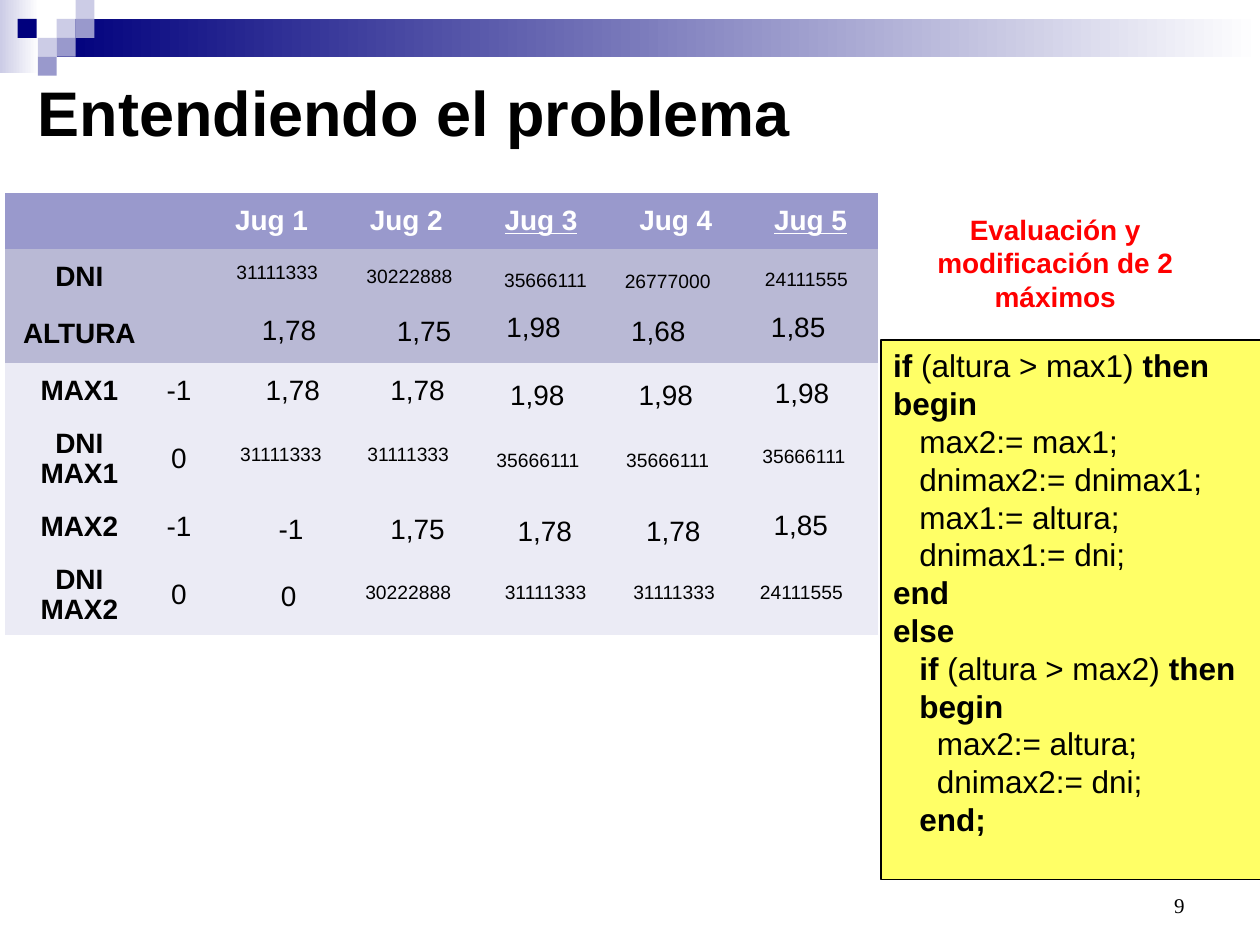
from dataclasses import dataclass

from pptx import Presentation
from pptx.dml.color import RGBColor
from pptx.enum.shapes import MSO_SHAPE
from pptx.enum.text import MSO_ANCHOR, MSO_AUTO_SIZE, PP_ALIGN
from pptx.oxml.ns import qn
from pptx.util import Inches, Pt

RECTANGLE = MSO_SHAPE.RECTANGLE
LEFT, CENTER, RIGHT = PP_ALIGN.LEFT, PP_ALIGN.CENTER, PP_ALIGN.RIGHT
TOP, MIDDLE, BOTTOM = MSO_ANCHOR.TOP, MSO_ANCHOR.MIDDLE, MSO_ANCHOR.BOTTOM
FIXED, GROW = MSO_AUTO_SIZE.NONE, MSO_AUTO_SIZE.SHAPE_TO_FIT_TEXT
NO_GRID_STYLE = "{2D5ABB26-0587-4C30-8999-92F81FD0307C}"


@dataclass(frozen=True)
class Theme:
    """Colours, fonts and type sizes of the slide."""
    navy: str = "00007D"
    lavender: str = "9999CC"
    pale: str = "CCCCE6"
    input_row: str = "B9B9D5"
    result_row: str = "EBEBF5"
    yellow: str = "FFFF66"
    red: str = "FF0000"
    black: str = "000000"
    white: str = "FFFFFF"
    font: str = "Arial"
    number_font: str = "Times New Roman"
    title: int = 36
    code: int = 18
    body: int = 16
    number: int = 12
    small: int = 11
    cell_spacing: float = 0.96


THEME = Theme()
SQUARE = 0.15
SQUARES = [
    (0.45, 0.15, THEME.pale), (0.6, 0, THEME.pale), (0.6, 0.15, THEME.lavender),
    (0.3, 0.3, THEME.pale), (0.14, 0.15, THEME.navy),
    (0.45, 0.3, THEME.lavender), (0.3, 0.45, THEME.lavender),
]
COLUMN_WIDTHS = [1.18, 0.4] + [1.07] * 5
TABLE_ROWS = [
    (["", "", "Jug 1", "Jug 2", "Jug 3", "Jug 4", "Jug 5"], 0.45, THEME.lavender),
    (["DNI"], 0.45, THEME.input_row),
    (["ALTURA"], 0.45, THEME.input_row),
    (["MAX1", "-1"], 0.45, THEME.result_row),
    (["DNI\nMAX1", "0"], 0.63, THEME.result_row),
    (["MAX2", "-1"], 0.45, THEME.result_row),
    (["DNI\nMAX2", "0"], 0.63, THEME.result_row),
]
UNDERLINED = ("Jug 3", "Jug 5")
READINGS = [
    [("31111333", 1.76, 2.02), ("30222888", 2.81, 2.05), ("35666111", 3.89, 2.08),
     ("26777000", 4.86, 2.09), ("24111555", 5.96, 2.07)],
    [("1,78", 1.98, 2.43), ("1,75", 3.05, 2.44), ("1,98", 3.92, 2.41),
     ("1,68", 4.91, 2.44), ("1,85", 6.02, 2.41)],
    [("1,78", 2.01, 2.91), ("1,78", 3, 2.91), ("1,98", 3.95, 2.95),
     ("1,98", 4.97, 2.95), ("1,98", 6.05, 2.93)],
    [("31111333", 1.79, 3.46), ("31111333", 2.8, 3.46), ("35666111", 3.83, 3.51),
     ("35666111", 4.86, 3.51), ("35666111", 5.94, 3.48)],
    [("-1", 2.1, 4.01), ("1,75", 3, 4.01), ("1,78", 4.01, 4.03),
     ("1,78", 5.03, 4.03), ("1,85", 6.04, 3.98)],
    [("0", 2.13, 4.54), ("30222888", 2.8, 4.56), ("31111333", 3.89, 4.56),
     ("31111333", 4.91, 4.56), ("24111555", 5.92, 4.56)],
]
READING_WIDTHS = {1: 0.32, 2: 0.42, 4: 0.63, 8: 0.88}
CODE = """*if* (altura > max1) *then*
*begin*
   max2:= max1;
   dnimax2:= dnimax1;
   max1:= altura;
   dnimax1:= dni;
*end*
*else*
   *if* (altura > max2) *then*
   *begin*
     max2:= altura;
     dnimax2:= dni;
   *end;*"""


def write_text(frame, text, size=THEME.body, color=THEME.black, font=THEME.font, bold=False,
               underline=False, align=LEFT, spacing=1.0):
    """Write lines of text, with the parts between asterisks in bold."""
    for index, line in enumerate(text.split("\n")):
        paragraph = frame.add_paragraph() if index else frame.paragraphs[0]
        paragraph.alignment = align
        paragraph.line_spacing = spacing
        for position, part in enumerate(line.split("*")):
            if not part:
                continue
            run = paragraph.add_run()
            run.text = part
            run.font.name = font
            run.font.size = Pt(size)
            run.font.bold = bold or position % 2 == 1
            run.font.underline = underline
            run.font.color.rgb = RGBColor.from_string(color)


def add_text_box(slide, text, left, top, width, height, anchor=TOP, grow=False, **text_format):
    """Add a text box that wraps, or one that grows around a single line."""
    shape = slide.shapes.add_textbox(Inches(left), Inches(top), Inches(width), Inches(height))
    shape.text_frame.word_wrap = not grow
    shape.text_frame.auto_size = GROW if grow else FIXED
    shape.text_frame.vertical_anchor = anchor
    write_text(shape.text_frame, text, **text_format)


def add_rectangle(slide, left, top, width, height, color, fade=False):
    """Add a rectangle without outline, optionally fading to white."""
    shape = slide.shapes.add_shape(
        RECTANGLE, Inches(left), Inches(top), Inches(width), Inches(height))
    shape.shadow.inherit = False
    shape.line.fill.background()
    if fade:
        shape.fill.gradient()
        shape.fill.gradient_angle = 0
        for stop, position, stop_color in zip(
                shape.fill.gradient_stops, (0, 1), (color, THEME.white)):
            stop.position = position
            stop.color.rgb = RGBColor.from_string(stop_color)
    else:
        shape.fill.solid()
        shape.fill.fore_color.rgb = RGBColor.from_string(color)
    return shape


def add_header_band(slide):
    """Draw the fading bars and the squares at the top."""
    add_rectangle(slide, 0, 0, 0.31, 0.58, THEME.pale, fade=True)
    add_rectangle(slide, 0.45, 0.15, 9.55, 0.3, THEME.navy, fade=True)
    for left, top, color in SQUARES:
        add_rectangle(slide, left, top, SQUARE, SQUARE, color)


def set_title(slide, text):
    """Place and format the title."""
    title = slide.shapes.title
    title.left, title.top = Inches(0.2), Inches(0.26)
    title.width, title.height = Inches(8.5), Inches(1.25)
    title.text_frame.vertical_anchor = MIDDLE
    write_text(title.text_frame, text, size=THEME.title, bold=True)


def add_player_table(slide):
    """Add the table of players, inputs and maximums, without grid lines."""
    heights = [height for _, height, _ in TABLE_ROWS]
    shape = slide.shapes.add_table(
        len(TABLE_ROWS), len(COLUMN_WIDTHS), Inches(0.04), Inches(1.53),
        Inches(sum(COLUMN_WIDTHS)), Inches(sum(heights)))
    next(shape.element.iter(qn("a:tableStyleId"))).text = NO_GRID_STYLE
    table = shape.table
    for column, width in zip(table.columns, COLUMN_WIDTHS):
        column.width = Inches(width)
    for row_index, (labels, height, color) in enumerate(TABLE_ROWS):
        table.rows[row_index].height = Inches(height)
        for column_index, cell in enumerate(table.rows[row_index].cells):
            cell.fill.solid()
            cell.fill.fore_color.rgb = RGBColor.from_string(color)
            cell.vertical_anchor = MIDDLE
            cell.margin_left = cell.margin_right = Inches(0.05)
            if column_index < len(labels):
                label = labels[column_index]
                write_text(cell.text_frame, label, align=CENTER, spacing=THEME.cell_spacing,
                           color=THEME.black if row_index else THEME.white,
                           bold=column_index != 1, underline=label in UNDERLINED)


def add_readings(slide):
    """Place the values of each player over the table."""
    for row in READINGS:
        for text, left, top in row:
            is_document = len(text) == 8
            add_text_box(slide, text, left, top, READING_WIDTHS[len(text)],
                         0.29 if is_document else 0.37, grow=True, align=CENTER,
                         size=THEME.small if is_document else THEME.body)


def add_code_panel(slide):
    """Add the yellow panel with the code."""
    panel = add_rectangle(slide, 6.99, 2.7, 3.05, 4.28, THEME.yellow)
    panel.line.color.rgb = RGBColor.from_string(THEME.black)
    panel.line.width = Pt(1)
    panel.text_frame.word_wrap = True
    panel.text_frame.vertical_anchor = TOP
    write_text(panel.text_frame, CODE, size=THEME.code)


def main():
    """Build and save the slide."""
    presentation = Presentation()
    presentation.slide_width, presentation.slide_height = Inches(10), Inches(7.5)
    slide = presentation.slides.add_slide(presentation.slide_layouts[5])
    add_header_band(slide)
    set_title(slide, "Entendiendo el problema")
    add_player_table(slide)
    add_readings(slide)
    add_code_panel(slide)
    add_text_box(slide, "Evaluación y modificación de 2 máximos", 6.99, 1.71, 2.77, 0.75,
                 anchor=MIDDLE, align=CENTER, color=THEME.red, bold=True)
    add_text_box(slide, "9", 7.17, 6.83, 2.33, 0.5, anchor=BOTTOM, align=RIGHT,
                 size=THEME.number, font=THEME.number_font)
    presentation.save("out.pptx")


if __name__ == "__main__":
    main()
